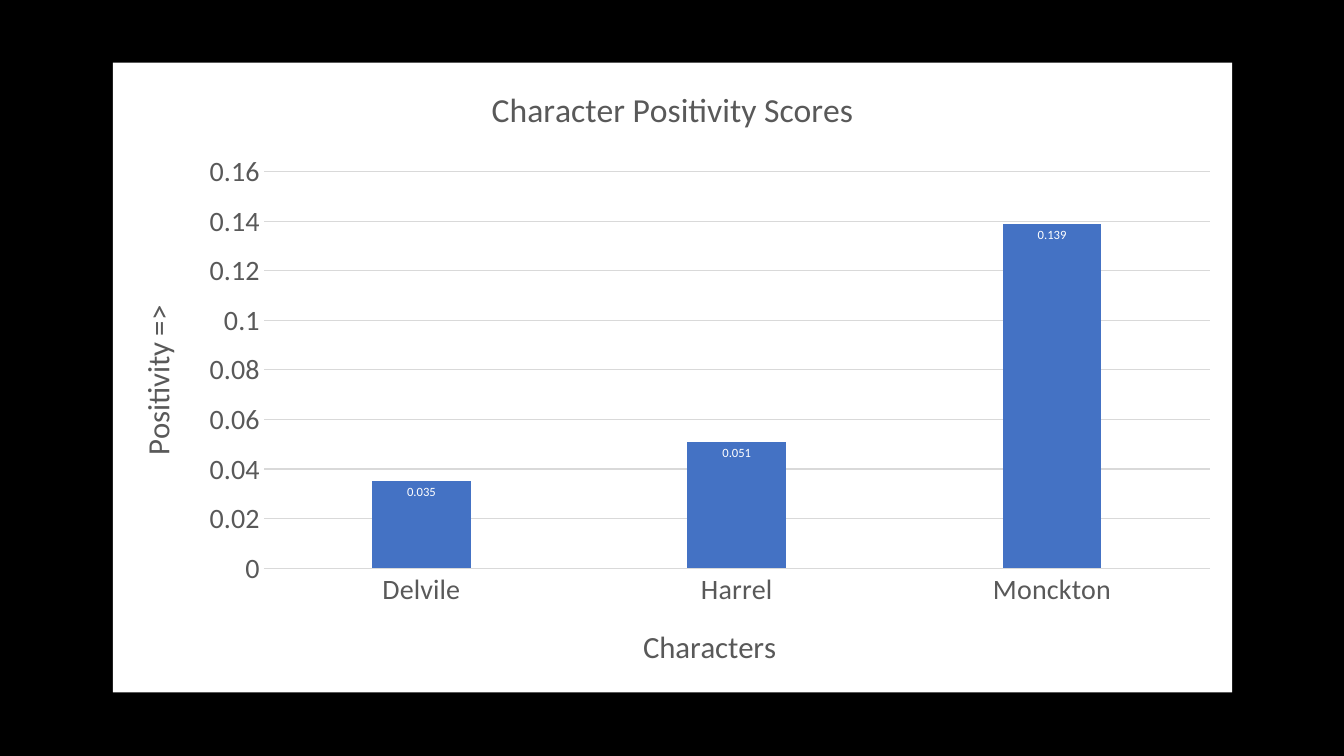
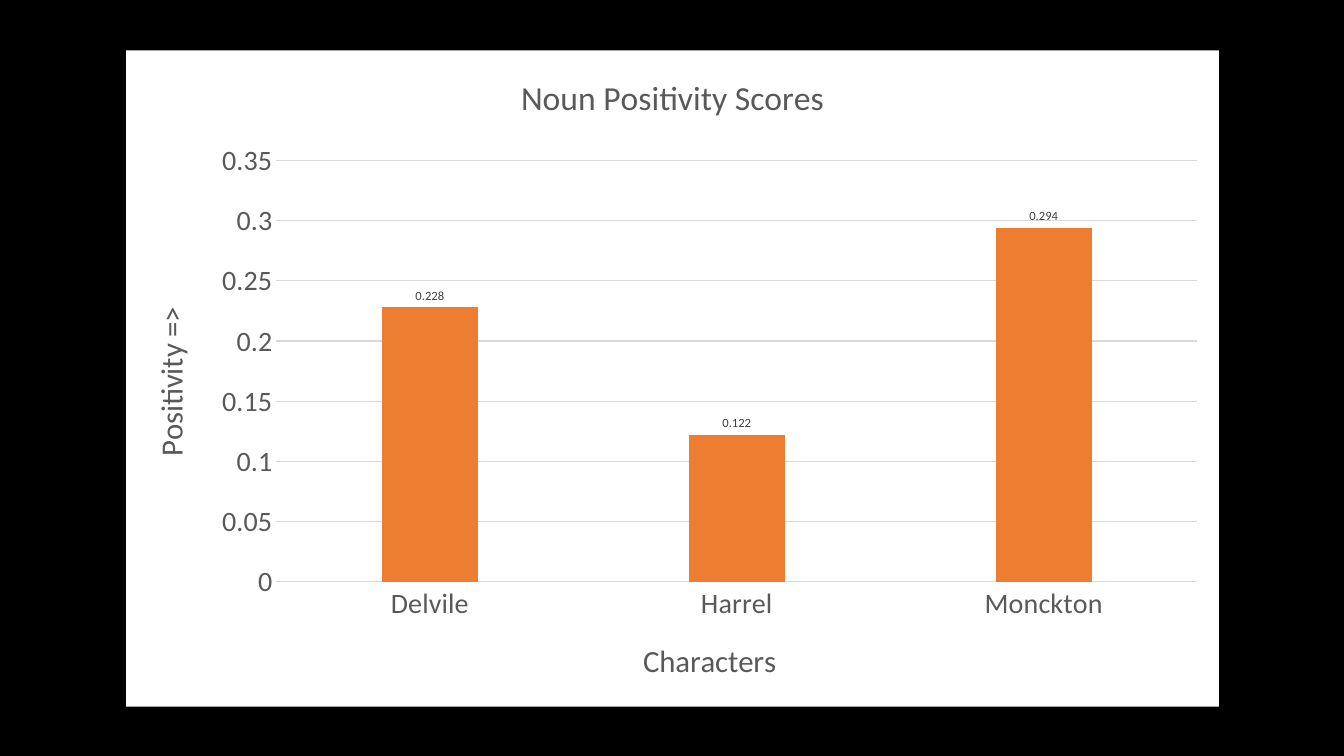
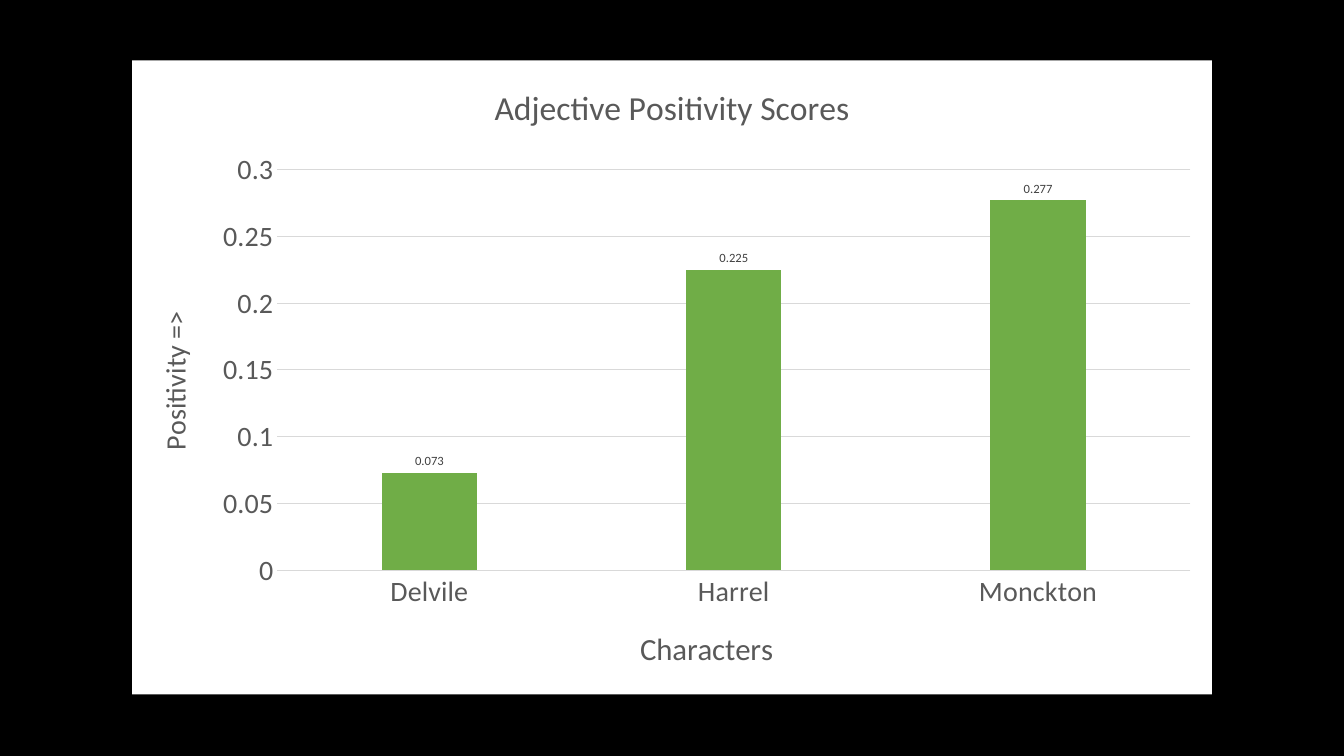
from lxml import etree
from pptx import Presentation, util as u
from pptx.chart.data import CategoryChartData
from pptx.dml.color import RGBColor
from pptx.enum import chart as ec
from pptx.oxml import parse_xml
from pptx.oxml.ns import nsdecls, qn

COLORS = {
    "back": "000000", "panel": "FFFFFF", "text": "595959", "grid": "D9D9D9",
    "dark": "404040", "blue": "4472C4", "orange": "ED7D31", "green": "70AD47",
}
CHARACTERS = ["Delvile", "Harrel", "Monckton"]
INSIDE = ec.XL_LABEL_POSITION.INSIDE_END
OUTSIDE = ec.XL_LABEL_POSITION.OUTSIDE_END
CHARTS = [
    dict(title="Character Positivity Scores", box=(1.12, 0.62, 11.1, 6.25),
         values=(0.035, 0.051, 0.139), color="blue",
         label_color="panel", label_pos=INSIDE),
    dict(title="Noun Positivity Scores", box=(1.25, 0.5, 10.84, 6.51),
         values=(0.228, 0.122, 0.294), color="orange"),
    dict(title="Adjective Positivity Scores", box=(1.31, 0.6, 10.71, 6.29),
         values=(0.073, 0.225, 0.277), color="green", value_title_size=20),
]


class Deck:
    font = "Calibri"

    def __init__(self):
        self.prs = Presentation()
        self.prs.slide_width = u.Inches(13.33)
        self.prs.slide_height = u.Inches(7.5)
        self.s = None

    def color(self, name):
        return RGBColor.from_string(COLORS[name])

    def add_slide(self):
        self.s = self.prs.slides.add_slide(self.prs.slide_layouts[6])
        fill = self.s.background.fill
        fill.solid()
        fill.fore_color.rgb = self.color("back")

    def style_font(self, font, size, color="text"):
        font.name = self.font
        font.size = u.Pt(size)
        font.bold = False
        font.color.rgb = self.color(color)

    def style_line(self, line):
        line.color.rgb = self.color("grid")
        line.width = u.Pt(0.75)

    def set_title(self, title, text, size):
        p = title.text_frame.paragraphs[0]
        p.text = text
        self.style_font(p.runs[0].font, size)

    def style_axis(self, axis, text, size):
        axis.major_tick_mark = ec.XL_TICK_MARK.NONE
        axis.minor_tick_mark = ec.XL_TICK_MARK.NONE
        self.style_font(axis.tick_labels.font, 20)
        self.set_title(axis.axis_title, text, size)

    def fill_panel(self, chart):
        sp_pr = parse_xml(f"<c:spPr {nsdecls('c', 'a')}/>")
        fill = etree.SubElement(sp_pr, qn("a:solidFill"))
        etree.SubElement(fill, qn("a:srgbClr"), val=COLORS["panel"])
        line = etree.SubElement(sp_pr, qn("a:ln"))
        etree.SubElement(line, qn("a:noFill"))
        chart.element.find(qn("c:chart")).addnext(sp_pr)

    def add_bar_chart(self, title, box, values, color, label_color="dark",
                      label_pos=OUTSIDE, value_title_size=22):
        data = CategoryChartData()
        data.categories = CHARACTERS
        data.add_series("Series 1", values)
        chart = self.s.shapes.add_chart(
            ec.XL_CHART_TYPE.COLUMN_CLUSTERED,
            *(u.Inches(n) for n in box), data).chart
        chart.font.name = self.font
        chart.font.size = u.Pt(10)
        chart.has_legend = False
        self.fill_panel(chart)
        self.set_title(chart.chart_title, title, 24)

        self.style_axis(chart.category_axis, "Characters", 22)
        self.style_line(chart.category_axis.format.line)
        axis = chart.value_axis
        self.style_axis(axis, "Positivity =>", value_title_size)
        axis.format.line.fill.background()
        axis.has_major_gridlines = True
        self.style_line(axis.major_gridlines.format.line)

        plot = chart.plots[0]
        plot.gap_width = 219
        plot.overlap = -27
        plot.vary_by_categories = False
        series = plot.series[0]
        series.format.fill.solid()
        series.format.fill.fore_color.rgb = self.color(color)
        labels = series.data_labels
        labels.show_value = True
        labels.position = label_pos
        self.style_font(labels.font, 9, label_color)


def main():
    deck = Deck()
    for chart in CHARTS:
        deck.add_slide()
        deck.add_bar_chart(**chart)
    deck.prs.save("out.pptx")


if __name__ == "__main__":
    main()
